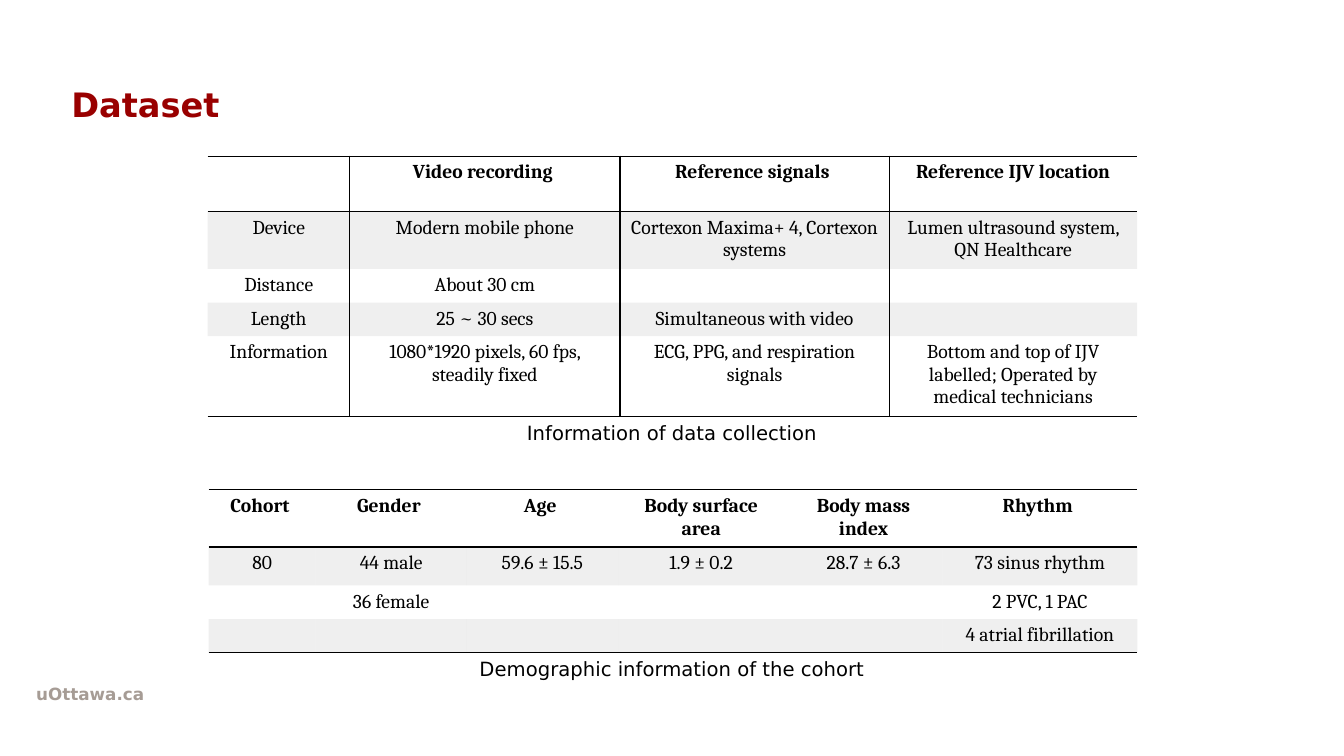
from dataclasses import dataclass

from lxml import etree
from pptx import Presentation
from pptx import util as u
from pptx.dml.color import RGBColor
from pptx.enum import text as t
from pptx.oxml import ns

BLACK = RGBColor(0x00, 0x00, 0x00)
GARNET = RGBColor(0x99, 0x00, 0x00)
TAUPE = RGBColor(0xA6, 0x9C, 0x95)
BAND = RGBColor(0xB3, 0xB3, 0xB3)
SANS, SERIF = "DejaVu Sans", "Cambria"
PLAIN_TABLE_STYLE = "{2D5ABB26-0587-4C30-8999-92F81FD0307C}"
CENTER = t.PP_ALIGN.CENTER


@dataclass
class Label:
    text: str
    left: float
    top: float
    width: float
    height: float
    size: int = 14
    color: RGBColor = BLACK
    bold: bool = False
    align: t.PP_ALIGN = CENTER
    anchor: t.MSO_ANCHOR = t.MSO_ANCHOR.TOP


@dataclass
class Grid:
    left: float
    top: float
    widths: list[float]
    heights: list[float]
    rows: list[list[str]]
    ruled_columns: tuple[int, ...] = ()


LABELS = [
    Label("uOttawa.ca", 0.26, 6.73, 6.61, 0.39, size=12, color=TAUPE, bold=True,
          align=t.PP_ALIGN.LEFT),
    Label("Dataset", 0.61, 0.52, 11.34, 1.03, size=24, color=GARNET, bold=True,
          align=t.PP_ALIGN.LEFT, anchor=t.MSO_ANCHOR.MIDDLE),
    Label("Information of data collection", 2.06, 4.13, 9.21, 0.34),
    Label("Demographic information of the cohort", 2.06, 6.47, 9.21, 0.34),
]

COLLECTION = Grid(
    2.06, 1.55, [1.41, 2.68, 2.67, 2.46], [0.55, 0.52, 0.3, 0.32, 0.55],
    [
        ["", "Video recording ", "Reference signals ", "Reference IJV location"],
        ["Device", "Modern mobile phone", "Cortexon Maxima+ 4, Cortexon systems",
         "Lumen ultrasound system, QN Healthcare"],
        ["Distance", "About 30 cm", "", ""],
        ["Length", "25 ~ 30 secs", "Simultaneous with video", ""],
        ["Information", "1080*1920 pixels, 60 fps, steadily fixed",
         "ECG, PPG, and respiration signals",
         "Bottom and top of IJV labelled; Operated by medical technicians"],
    ],
    ruled_columns=(0, 1),
)

COHORT = Grid(
    2.07, 4.86, [1.06, 1.5, 1.5, 1.65, 1.57, 1.93], [0.55, 0.38, 0.32, 0.32],
    [
        ["Cohort ", "Gender ", "Age ", "Body surface area", "Body mass index", "Rhythm "],
        ["80", "44 male", "59.6 ± 15.5", "1.9 ± 0.2", "28.7 ± 6.3", "73 sinus rhythm"],
        ["", "36 female", "", "", "", "2 PVC, 1 PAC"],
        ["", "", "", "", "", "4 atrial fibrillation"],
    ],
)


def write(frame, text: str, *, font: str, size: int, color: RGBColor = BLACK,
          bold: bool = False, align: t.PP_ALIGN = CENTER) -> None:
    para = frame.paragraphs[0]
    para.alignment = align
    if not text:
        # An empty cell still needs its text size, which sets the row height
        etree.SubElement(para._p, ns.qn("a:endParaRPr"), sz=str(size * 100))
        return
    span = para.add_run()
    span.text = text
    span.font.name = font
    span.font.size = u.Pt(size)
    span.font.bold = bold
    span.font.color.rgb = color


def add_label(page, label: Label) -> None:
    box = page.shapes.add_textbox(*map(u.Inches, (label.left, label.top,
                                                  label.width, label.height)))
    frame = box.text_frame
    frame.word_wrap = True
    frame.vertical_anchor = label.anchor
    write(frame, label.text, font=SANS, size=label.size, color=label.color,
          bold=label.bold, align=label.align)


def add_border(cell, side: str) -> None:
    line = etree.SubElement(cell._tc.get_or_add_tcPr(), ns.qn(f"a:ln{side}"),
                            w=str(u.Pt(1)))
    fill = etree.SubElement(line, ns.qn("a:solidFill"))
    etree.SubElement(fill, ns.qn("a:srgbClr"), val=str(BLACK))


def fill_band(cell) -> None:
    cell.fill.solid()
    cell.fill.fore_color.rgb = BAND
    color = cell._tc.tcPr.find(".//" + ns.qn("a:solidFill") + "[last()]/"
                               + ns.qn("a:srgbClr") + f"[@val='{BAND}']")
    etree.SubElement(color, ns.qn("a:alpha"), val="20000")


def add_grid(page, grid: Grid) -> None:
    table = page.shapes.add_table(
        len(grid.heights), len(grid.widths), u.Inches(grid.left), u.Inches(grid.top),
        u.Inches(sum(grid.widths)), u.Inches(sum(grid.heights))).table
    table._tbl.tblPr.find(ns.qn("a:tableStyleId")).text = PLAIN_TABLE_STYLE
    table.first_row = table.horz_banding = False
    for column, width in zip(table.columns, grid.widths):
        column.width = u.Inches(width)
    last = len(grid.rows) - 1
    for r, (height, texts) in enumerate(zip(grid.heights, grid.rows)):
        table.rows[r].height = u.Inches(height)
        for c, text in enumerate(texts):
            cell = table.cell(r, c)
            write(cell.text_frame, text, font=SERIF, size=14, bold=r == 0)
            # Borders go in schema order: left, right, top, bottom
            if c - 1 in grid.ruled_columns:
                add_border(cell, "L")
            if c in grid.ruled_columns:
                add_border(cell, "R")
            if r == 0:
                add_border(cell, "T")
            if r in (0, last):
                add_border(cell, "B")
            # Every other row below the header is shaded
            if r % 2:
                fill_band(cell)
            else:
                cell.fill.background()


def main() -> None:
    deck = Presentation()
    deck.slide_width, deck.slide_height = u.Inches(13.33), u.Inches(7.5)
    page = deck.slides.add_slide(deck.slide_layouts[6])

    # Title, footer and captions
    for label in LABELS:
        add_label(page, label)

    # Data collection and cohort tables
    for grid in (COLLECTION, COHORT):
        add_grid(page, grid)

    deck.save("out.pptx")


if __name__ == "__main__":
    main()
